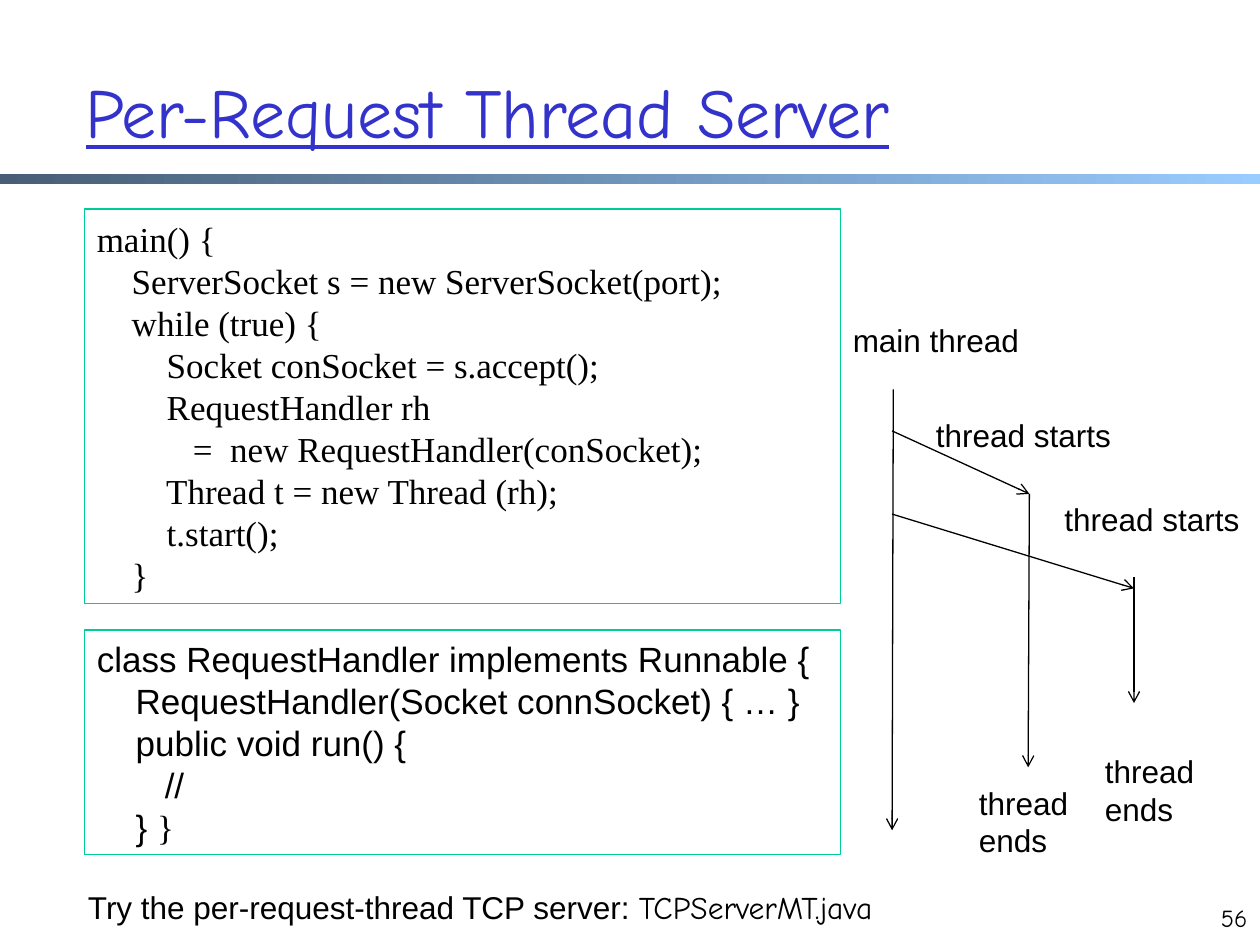
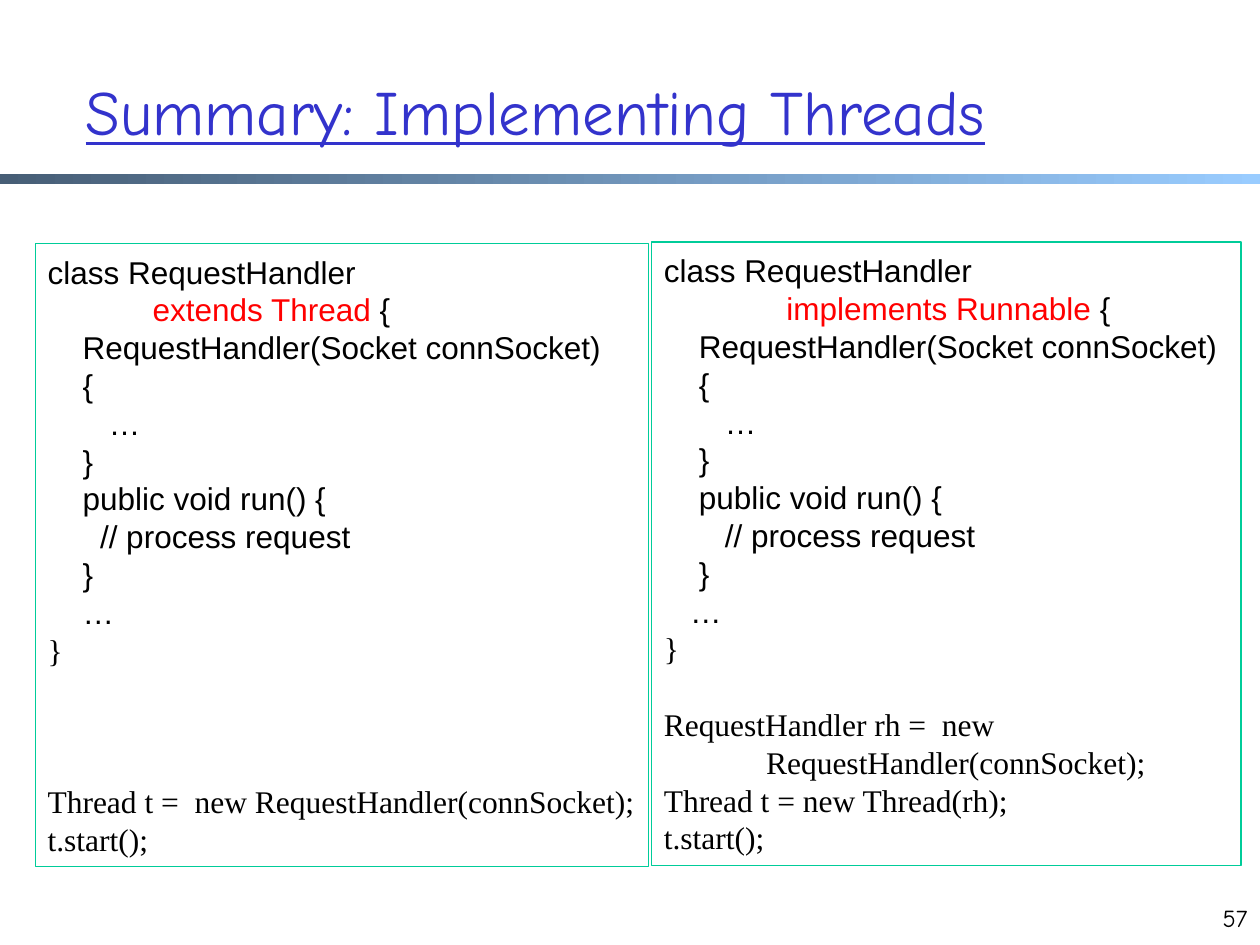
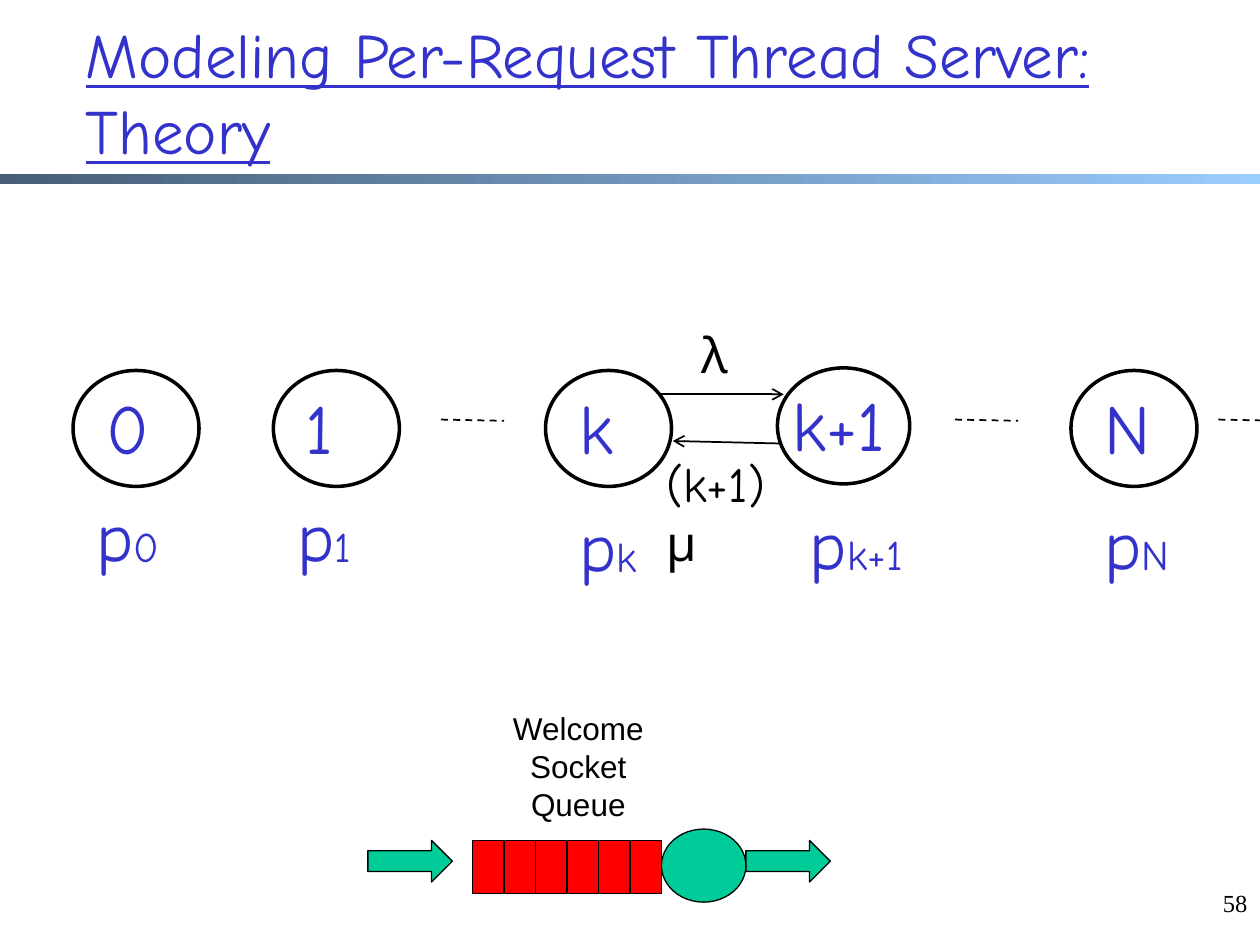
from lxml import etree
from pptx import Presentation
from pptx.dml.color import RGBColor
from pptx.enum.dml import MSO_LINE
from pptx.enum.shapes import MSO_CONNECTOR, MSO_SHAPE
from pptx.enum.text import MSO_ANCHOR, MSO_AUTO_SIZE, PP_ALIGN
from pptx.oxml.ns import qn
from pptx.util import Inches, Pt

RECTANGLE, OVAL, RIGHT_ARROW = MSO_SHAPE.RECTANGLE, MSO_SHAPE.OVAL, MSO_SHAPE.RIGHT_ARROW
STRAIGHT, CURVE = MSO_CONNECTOR.STRAIGHT, MSO_CONNECTOR.CURVE
DASH = MSO_LINE.DASH
MIDDLE = MSO_ANCHOR.MIDDLE
FIT, NO_FIT = MSO_AUTO_SIZE.SHAPE_TO_FIT_TEXT, MSO_AUTO_SIZE.NONE
LEFT, CENTER, RIGHT = PP_ALIGN.LEFT, PP_ALIGN.CENTER, PP_ALIGN.RIGHT

BLACK, BLUE, GREEN, RED = "000000", "3333CC", "00CC99", "FF0000"
BAND_START, BAND_END = "475E76", "99CCFF"
COMIC, SANS, SERIF = "Comic Neue", "Arial", "Times New Roman"
LINE_HEIGHT = 1.2

TITLE = {"name": COMIC, "size": 36, "color": BLUE, "underline": True}
LABEL = {"name": SANS, "size": 18, "color": BLACK}
CODE = {**LABEL, "size": 20}
NUMBER = {"name": COMIC, "size": 14, "color": BLACK}
STATE = {"name": COMIC, "size": 40, "color": BLUE}
RATE = {"name": COMIC, "size": 28, "color": BLACK}
IN_SERIF = {"name": SERIF}
IN_RED = {"color": RED}
SUBSCRIPT = {"size": 24}


def rgb(value):
    return RGBColor.from_string(value)


def place(box, left, top, width, height):
    for side, length in zip(("left", "top", "width", "height"), (left, top, width, height)):
        setattr(box, side, Inches(length))


def format_font(font, style):
    for name, value in style.items():
        if name == "color":
            font.color.rgb = rgb(value)
        else:
            setattr(font, name, Pt(value) if name == "size" else value)


def write(frame, lines, style, align=LEFT, gaps=None):
    for index, line in enumerate(lines):
        para = frame.paragraphs[0] if index == 0 else frame.add_paragraph()
        para.alignment = align
        para.line_spacing = Pt(style["size"] * LINE_HEIGHT)
        if gaps and index in gaps:
            para.space_before = Pt(gaps[index] * style["size"] * LINE_HEIGHT)
        spans = [(line, {})] if isinstance(line, str) else line
        for text, changes in spans:
            span = para.add_run()
            span.text = text
            format_font(span.font, {**style, **changes})


def add_text(page, at, lines, style, align=LEFT, wrap=False):
    frame = page.shapes.add_textbox(*map(Inches, at)).text_frame
    frame.word_wrap = wrap
    frame.auto_size = NO_FIT if wrap else FIT
    write(frame, lines, style, align)


def add_figure(page, kind, at, fill=None, line=BLACK, weight=0.75):
    figure = page.shapes.add_shape(kind, *map(Inches, at))
    figure.shadow.inherit = False
    if fill:
        figure.fill.solid()
        figure.fill.fore_color.rgb = rgb(fill)
    else:
        figure.fill.background()
    figure.line.color.rgb = rgb(line)
    figure.line.width = Pt(weight)
    return figure


def add_code(page, at, lines, style, gaps=None):
    frame = add_figure(page, RECTANGLE, at, line=GREEN).text_frame
    frame.word_wrap = True
    frame.vertical_anchor = MIDDLE
    frame.margin_right = Inches(0.05)
    write(frame, lines, style, gaps=gaps)


def add_line(page, start, end, weight=0.75, arrow=True, kind=STRAIGHT):
    line = page.shapes.add_connector(kind, *map(Inches, start + end))
    line.line.color.rgb = rgb(BLACK)
    line.line.width = Pt(weight)
    if arrow:
        etree.SubElement(line.line._get_or_add_ln(), qn("a:tailEnd"), type="arrow")
    else:
        line.line.dash_style = DASH
    etree.SubElement(line.element.spPr, qn("a:effectLst"))


def add_band(page, layout):
    band = add_figure(page, RECTANGLE, (0, 1.38, 10, 0.08))
    band.line.fill.background()
    band.fill.gradient()
    band.fill.gradient_angle = 0
    for stop, color in zip(band.fill.gradient_stops, (BAND_START, BAND_END)):
        stop.color.rgb = rgb(color)
    layout.shapes.element.append(band.element)


def add_page(deck, layout, title, number, size=36, title_at=(0.58, 0.25, 8.5, 1.25),
             number_at=(9.5, 7.12, 0.5, 0.5), number_font=COMIC):
    page = deck.slides.add_slide(layout)
    heading = page.shapes.title
    place(heading, *title_at)
    frame = heading.text_frame
    frame.word_wrap = True
    frame.auto_size = NO_FIT
    frame.vertical_anchor = MIDDLE
    write(frame, [title], {**TITLE, "size": size})
    add_text(page, number_at, [str(number)], {**NUMBER, "name": number_font}, RIGHT, wrap=True)
    return page


def fill_server_page(page):
    add_code(page, (0.67, 1.66, 6, 3.13), [
        "main() {",
        "    ServerSocket s = new ServerSocket(port);",
        "    while (true) {",
        "        Socket conSocket = s.accept();",
        "        RequestHandler rh",
        "           =  new RequestHandler(conSocket);",
        "        Thread t = new Thread (rh);",
        "        t.start();",
        "    }",
    ], {**CODE, **IN_SERIF})
    add_code(page, (0.67, 5, 6, 1.78), [
        "class RequestHandler implements Runnable {",
        "    RequestHandler(Socket connSocket) { … }",
        "    public void run() {",
        "       //",
        [("    } ", {}), ("}", IN_SERIF)],
    ], CODE)
    hint = [("Try the per-request-thread TCP server: ", {}), ("TCPServerMT.java", {"name": COMIC})]
    add_text(page, (0.6, 7, 6.83, 0.4), [hint], LABEL)
    for at, lines in (
        ((6.67, 2.5, 1.53, 0.4), ["main thread"]),
        ((7.33, 3.25, 1.6, 0.4), ["thread starts"]),
        ((8.35, 3.92, 1.6, 0.4), ["thread starts"]),
        ((8.67, 5.92, 0.91, 0.71), ["thread", "ends"]),
        ((7.67, 6.17, 0.91, 0.71), ["thread", "ends"]),
    ):
        add_text(page, at, lines, LABEL)
    for start, end in (
        ((7.09, 3.09), (7.08, 6.59)),
        ((7.08, 3.42), (8.17, 3.92)),
        ((7.08, 4.08), (9, 4.67)),
        ((9, 4.58), (9, 5.58)),
        ((8.17, 3.92), (8.16, 6.09)),
    ):
        add_line(page, start, end)


def handler_code(declaration, comment, dots, usage):
    return [
        "class RequestHandler",
        declaration,
        "    RequestHandler(Socket connSocket)",
        "    {",
        "       …",
        "    }",
        "    public void run() {",
        comment,
        "    }",
        dots,
        *([(line, IN_SERIF)] for line in ["}"] + usage),
    ]


def fill_summary_page(page):
    first_usage = 11
    extending = handler_code(
        [("            ", {}), ("extends Thread", IN_RED), (" {", {})],
        "      // process request", "    …",
        ["Thread t =  new RequestHandler(connSocket);", "t.start();"])
    implementing = handler_code(
        [("             ", {}), (" implements Runnable ", IN_RED), ("{", {})],
        "       // process request", "   …",
        ["RequestHandler rh =  new", "             RequestHandler(connSocket);",
         "Thread t = new Thread(rh);", "t.start();"])
    add_code(page, (0.28, 1.93, 4.87, 4.95), extending, LABEL, {first_usage: 3})
    add_code(page, (5.17, 1.92, 4.68, 4.95), implementing, LABEL, {first_usage: 1})


def add_state(page, name, circle, label, probability):
    left, top, width = circle
    add_figure(page, OVAL, (left, top, width, 0.92), weight=2)
    label_left, label_width = label
    add_text(page, (label_left, top + 0.06, label_width, 0.77), [name], STATE)
    add_text(page, (*probability, 0.77), [[("p", {}), (name, SUBSCRIPT)]], STATE)


def fill_theory_page(page):
    for state in (
        ("0", (0.58, 2.94, 1), (0.75, 0.54), (0.67, 3.86, 0.71)),
        ("1", (2.17, 2.94, 1), (2.33, 0.45), (2.26, 3.86, 0.65)),
        ("k", (4.33, 2.94, 1), (4.5, 0.51), (4.5, 3.94, 0.68)),
        ("k+1", (6.17, 2.92, 1.05), (6.19, 1.03), (6.33, 3.92, 1)),
        ("N", (8.5, 2.94, 1), (8.67, 0.65), (8.67, 3.92, 0.77)),
    ):
        add_state(page, *state)
    for left in (3.5, 7.58, 9.67):
        add_line(page, (left, 3.33), (left + 0.5, 3.34), weight=1, arrow=False)
    add_line(page, (5.22, 3.13), (6.22, 3.13), weight=1, kind=CURVE)
    add_line(page, (6.19, 3.52), (5.34, 3.5), weight=1)
    add_text(page, (5.47, 2.53, 0.42, 0.57), ["λ"], RATE)
    add_text(page, (5.19, 3.55, 1.2, 0.57), ["(k+1)μ"], RATE)
    add_text(page, (3.93, 5.58, 1.32, 1.01), ["Welcome", "Socket", "Queue"], LABEL, CENTER)
    add_figure(page, OVAL, (5.25, 6.58, 0.67, 0.58), GREEN)
    for left in (2.92, 5.92):
        add_figure(page, RIGHT_ARROW, (left, 6.67, 0.67, 0.33), GREEN)
    for slot in range(6):
        add_figure(page, RECTANGLE, (3.75 + slot * 0.25, 6.67, 0.25, 0.42), RED)


def main():
    deck = Presentation()
    deck.slide_width, deck.slide_height = Inches(10), Inches(7.5)
    layout = deck.slide_layouts[5]
    server = add_page(deck, layout, "Per-Request Thread Server", 56, size=40)
    add_band(server, layout)
    fill_server_page(server)
    fill_summary_page(add_page(deck, layout, "Summary: Implementing Threads", 57))
    fill_theory_page(add_page(deck, layout, "Modeling Per-Request Thread Server: Theory", 58,
                              title_at=(0.58, 0.1, 8.92, 1.25),
                              number_at=(7.67, 7, 2.33, 0.5), number_font=SERIF))
    deck.save("out.pptx")


if __name__ == "__main__":
    main()
